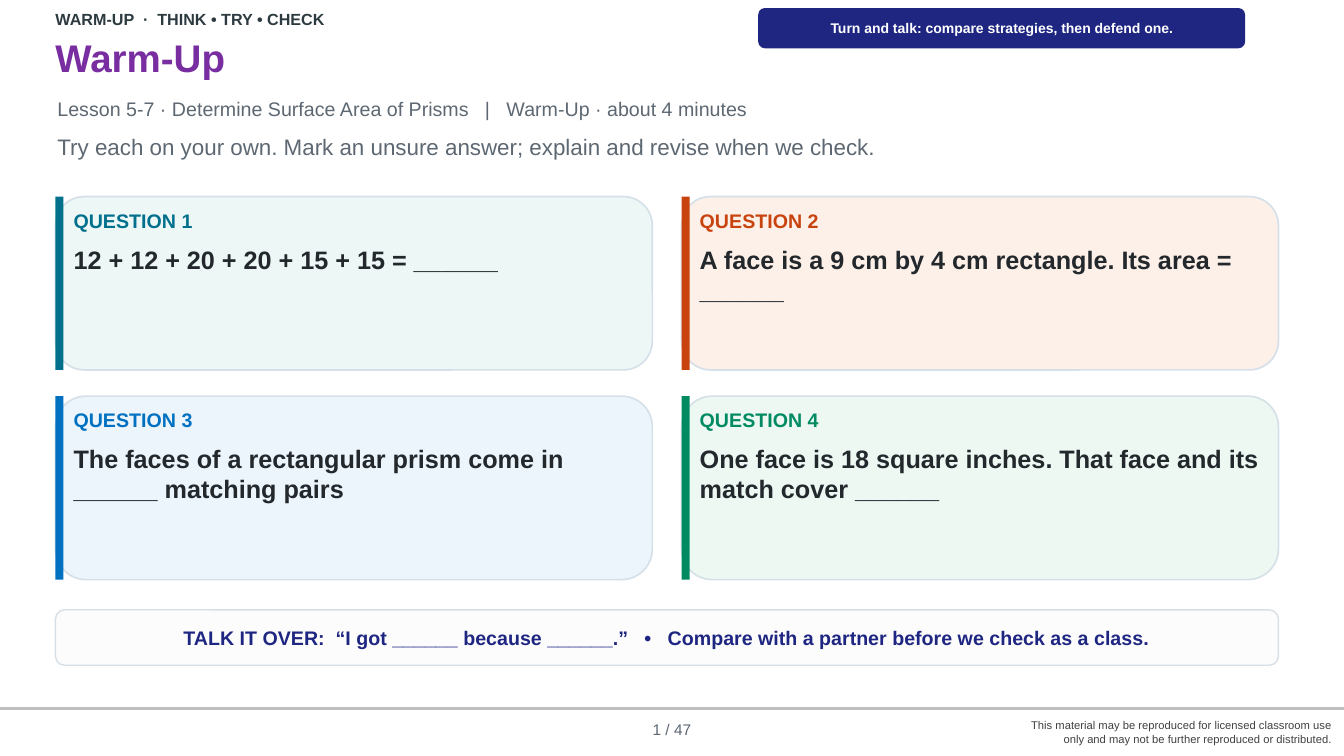
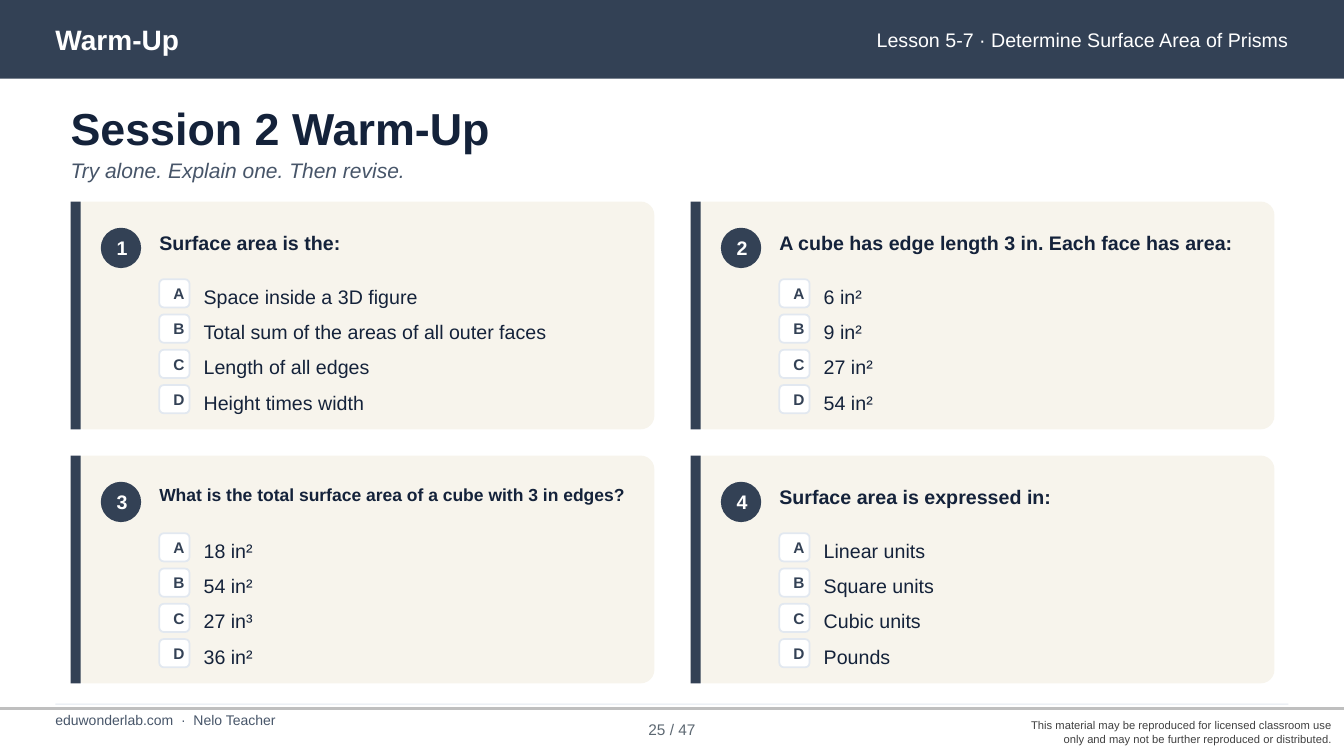
from lxml.etree import SubElement
from pptx import Presentation
from pptx.dml.color import RGBColor
from pptx.enum.shapes import MSO_CONNECTOR, MSO_SHAPE
from pptx.enum.text import MSO_ANCHOR, PP_ALIGN
from pptx.oxml.ns import qn
from pptx.util import Inches, Pt

FONT = "Arial"
WHITE, SLATE, NAVY, GREY = "FFFFFF", "334155", "14223A", "5D6872"
INDIGO, EDGE, PALE, MUTED = "1E2682", "D6E0E8", "E2E8F0", "475569"
LEFT, MID, RIGHT = PP_ALIGN.LEFT, PP_ALIGN.CENTER, PP_ALIGN.RIGHT
RECT, ROUND, OVAL = MSO_SHAPE.RECTANGLE, MSO_SHAPE.ROUNDED_RECTANGLE, MSO_SHAPE.OVAL

LESSON = "Lesson 5-7 · Determine Surface Area of Prisms"
RIGHTS = ("This material may be reproduced for licensed classroom use only "
          "and may not be further reproduced or distributed.")
TALK = ("TALK IT OVER:  “I got ______ because ______.”   •   "
        "Compare with a partner before we check as a class.")

TASKS = [
    ("12 + 12 + 20 + 20 + 15 + 15 = ______", "01708C", "ECF7F6"),
    ("A face is a 9 cm by 4 cm rectangle. Its area = ______", "C8430E", "FDF0E8"),
    ("The faces of a rectangular prism come in ______ matching pairs", "0070C0", "EBF5FB"),
    ("One face is 18 square inches. That face and its match cover ______", "008A62", "EDF8F3"),
]
ROWS = [(1.95, 1.72), (3.93, 1.82)]

QUIZ = [
    ("Surface area is the:", 14,
     ["Space inside a 3D figure", "Total sum of the areas of all outer faces",
      "Length of all edges", "Height times width"]),
    ("A cube has edge length 3 in. Each face has area:", 14,
     ["6 in²", "9 in²", "27 in²", "54 in²"]),
    ("What is the total surface area of a cube with 3 in edges?", 12.5,
     ["18 in²", "54 in²", "27 in³", "36 in²"]),
    ("Surface area is expressed in:", 14,
     ["Linear units", "Square units", "Cubic units", "Pounds"]),
]


def color(code):
    return RGBColor.from_string(code)


def write(shape, words, size=14, ink=NAVY, bold=False, italic=False,
          align=LEFT, middle=False, pad=(0, 0), lead=None):
    frame = shape.text_frame
    frame.word_wrap = True
    frame.margin_left = frame.margin_right = Inches(pad[0])
    frame.margin_top = frame.margin_bottom = Inches(pad[1])
    frame.vertical_anchor = MSO_ANCHOR.MIDDLE if middle else MSO_ANCHOR.TOP
    para = frame.paragraphs[0]
    para.alignment = align
    if lead:
        para.line_spacing = lead
    run = para.add_run()
    run.text = words
    font = run.font
    font.name, font.size = FONT, Pt(size)
    font.bold, font.italic = bold, italic
    font.color.rgb = color(ink)


def label(slide, box, words, **style):
    write(slide.shapes.add_textbox(*map(Inches, box)), words, **style)


def block(slide, kind, box, fill, line=None, width=1, adj=None):
    shape = slide.shapes.add_shape(kind, *map(Inches, box))
    shape.shadow.inherit = False
    shape.fill.solid()
    shape.fill.fore_color.rgb = color(fill)
    if line:
        shape.line.color.rgb = color(line)
        shape.line.width = Pt(width)
    else:
        shape.line.fill.background()
    if adj:
        shape.adjustments[0] = adj
    return shape


def start(deck, page):
    slide = deck.slides.add_slide(deck.slide_layouts[6])
    rule = slide.shapes.add_connector(
        MSO_CONNECTOR.STRAIGHT, 0, Inches(7.03), deck.slide_width, Inches(7.03))
    rule.line.color.rgb = color("BFBFBF")
    rule.line.width = Pt(1.75)
    SubElement(rule._element.spPr, qn("a:effectLst"))
    label(slide, (9.91, 7, 3.4, 0.52), RIGHTS, size=8, ink="404040",
          align=RIGHT, middle=True, pad=(0.1, 0.05))
    label(slide, (6.1, 7.1, 1.13, 0.28), f"{page} / 47", size=11, ink=GREY,
          align=MID, middle=True)
    return slide


def task(slide, num, words, hue, tint):
    row, col = divmod(num - 1, 2)
    left = 0.55 + col * 6.21
    top, high = ROWS[row]
    block(slide, ROUND, (left, top, 5.92, high), tint, EDGE, 1.2)
    block(slide, RECT, (left, top, 0.08, high), hue)
    label(slide, (left + 0.18, top + 0.12, 5.6, 0.25), f"QUESTION {num}",
          ink=hue, bold=True)
    label(slide, (left + 0.18, top + 0.47, 5.58, high - 0.57), words,
          size=18, ink="23282D", bold=True)


def warm(deck):
    slide = start(deck, 1)
    label(slide, (0.55, 0.06, 6.82, 0.26), "WARM-UP  ·  THINK • TRY • CHECK",
          size=11.5, ink="2D3A40", bold=True, middle=True)
    label(slide, (0.55, 0.34, 8, 0.55), "Warm-Up", size=27.5, ink="782DA0", bold=True)
    label(slide, (0.57, 0.96, 8.4, 0.3),
          LESSON + "   |   Warm-Up · about 4 minutes", ink=GREY)
    label(slide, (0.57, 1.32, 11.9, 0.48),
          "Try each on your own. Mark an unsure answer; explain and revise when we check.",
          size=16, ink=GREY)
    for num, item in enumerate(TASKS, 1):
        task(slide, num, *item)
    bar = block(slide, ROUND, (0.55, 6.05, 12.13, 0.55), "FCFCFD", EDGE)
    write(bar, TALK, ink=INDIGO, bold=True, align=MID, middle=True, pad=(0.1, 0.05))
    pill = block(slide, ROUND, (7.52, 0.08, 4.83, 0.4), INDIGO)
    write(pill, "Turn and talk: compare strategies, then defend one.",
          size=10, ink=WHITE, bold=True, align=MID, middle=True)


def card(slide, num, words, size, picks):
    row, col = divmod(num - 1, 2)
    left, top = 0.7 + col * 6.15, 2 + row * 2.52
    block(slide, ROUND, (left, top, 5.79, 2.26), "F7F4EC", adj=0.06)
    block(slide, RECT, (left, top, 0.1, 2.26), SLATE)
    dot = block(slide, OVAL, (left + 0.3, top + 0.26, 0.4, 0.4), SLATE)
    write(dot, str(num), ink=WHITE, bold=True, align=MID, middle=True, pad=(0.1, 0.05))
    label(slide, (left + 0.88, top + 0.24, 4.8, 0.5), words, size=size,
          bold=True, lead=1.2)
    for step, (mark, pick) in enumerate(zip("ABCD", picks)):
        y = top + 0.77 + step * 0.35
        block(slide, ROUND, (left + 0.88, y, 0.3, 0.28), WHITE, PALE, 1.25, 0.16)
        label(slide, (left + 1.02, y + 0.03, 0.26, 0.22), mark, size=11,
              ink=SLATE, bold=True, middle=True)
        label(slide, (left + 1.32, y + 0.03, 4.3, 0.28), pick, middle=True)


def quiz(deck):
    slide = start(deck, 25)
    block(slide, RECT, (0, 0, 13.33, 0.78), SLATE)
    label(slide, (0.55, 0.16, 7.4, 0.46), "Warm-Up", size=20, ink=WHITE,
          bold=True, middle=True)
    label(slide, (7.9, 0.14, 4.88, 0.5), LESSON, ink=WHITE, align=RIGHT, middle=True)
    block(slide, RECT, (0.55, 6.98, 12.23, 0.01), PALE)
    label(slide, (0.55, 7.06, 5, 0.28), "eduwonderlab.com  ·  Nelo Teacher",
          size=10, ink=MUTED)
    label(slide, (0.7, 1, 11.93, 0.52), "Session 2 Warm-Up", size=32, bold=True)
    label(slide, (0.7, 1.56, 11.93, 0.3), "Try alone. Explain one. Then revise.",
          size=15, ink=MUTED, italic=True)
    for num, item in enumerate(QUIZ, 1):
        card(slide, num, *item)


def main():
    deck = Presentation()
    deck.slide_width, deck.slide_height = Inches(13.33), Inches(7.5)
    warm(deck)
    quiz(deck)
    deck.save("out.pptx")


if __name__ == "__main__":
    main()
